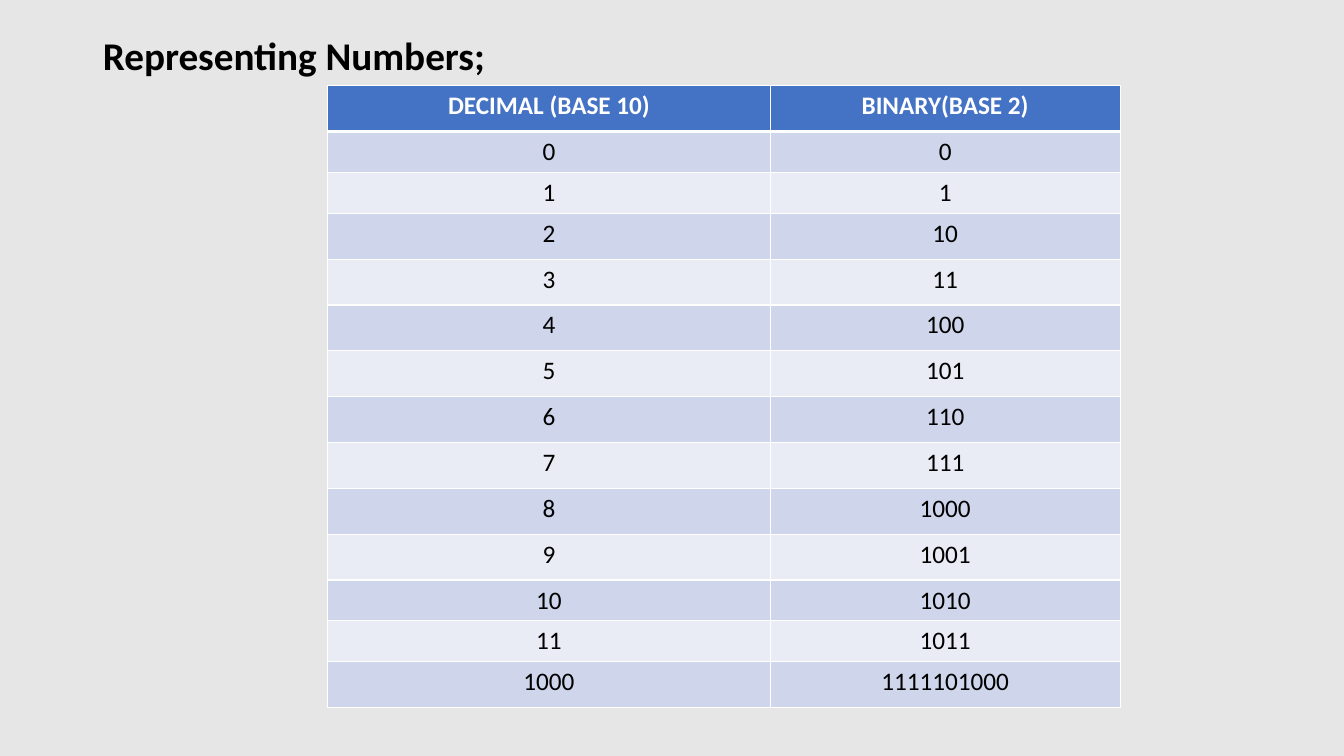
from lxml import etree
from pptx import Presentation
from pptx.dml.color import RGBColor
from pptx.enum.text import MSO_ANCHOR, MSO_AUTO_SIZE, PP_ALIGN
from pptx.oxml.ns import qn
from pptx.util import Inches, Pt

LEFT, CENTER = PP_ALIGN.LEFT, PP_ALIGN.CENTER
TOP, NO_FIT = MSO_ANCHOR.TOP, MSO_AUTO_SIZE.NONE

GRAY = RGBColor(0xE7, 0xE6, 0xE6)
BLACK = RGBColor(0, 0, 0)
WHITE = RGBColor(0xFF, 0xFF, 0xFF)
BLUE = RGBColor(0x44, 0x72, 0xC4)
BANDS = (RGBColor(0xE9, 0xEB, 0xF5), RGBColor(0xCF, 0xD5, 0xEA))

HEADS = ("DECIMAL (BASE 10)", "BINARY(BASE 2)")
NUMBERS = (*range(12), 1000)
SHORT = (1, 2, 11, 12)  # rows of lower height
LOW = 0.4


def write(frame, text, size=18, color=BLACK, bold=False, align=CENTER, line=1.0):
    para = frame.paragraphs[0]
    para.alignment = align
    para.line_spacing = line
    para.space_before = Pt(0)
    run = para.add_run()
    run.text = text
    font = run.font
    font.name = "Calibri"
    font.size = Pt(size)
    font.bold = bold
    font.color.rgb = color


def border(cell, side, width):
    props = cell._tc.get_or_add_tcPr()
    edge = etree.SubElement(props, qn("a:ln" + side), w=str(Pt(width)))
    fill = etree.SubElement(edge, qn("a:solidFill"))
    etree.SubElement(fill, qn("a:srgbClr"), val=str(WHITE))


def add_title(slide, left, top, width, height):
    title = slide.shapes.title
    title.left, title.top = Inches(left), Inches(top)
    title.width, title.height = Inches(width), Inches(height)
    frame = title.text_frame
    frame.word_wrap = True
    frame.auto_size = NO_FIT
    frame.vertical_anchor = TOP
    write(frame, "Representing Numbers;", size=28, bold=True, align=LEFT, line=0.9)


def add_grid(slide, left, top, width, height):
    rows = [HEADS] + [(str(n), f"{n:b}") for n in NUMBERS]
    count = len(rows)
    table = slide.shapes.add_table(count, 2, Inches(left), Inches(top),
                                   Inches(width), Inches(height)).table

    # Column widths and row heights
    first = 4.39
    table.columns[0].width = Inches(first)
    table.columns[1].width = Inches(width - first)
    tall = (height - LOW * len(SHORT)) / (count - len(SHORT))
    for i, row in enumerate(table.rows):
        row.height = Inches(LOW if i in SHORT else tall)

    # Header and banded cells
    for i, texts in enumerate(rows):
        head = i == 0
        for j, text in enumerate(texts):
            cell = table.cell(i, j)
            for side in "LRTB":
                thick = (head and side == "B") or (i == 1 and side == "T")
                border(cell, side, 3 if thick else 1)
            cell.fill.solid()
            cell.fill.fore_color.rgb = BLUE if head else BANDS[i % 2]
            write(cell.text_frame, text, color=WHITE if head else BLACK, bold=head)


def main():
    deck = Presentation()
    deck.slide_width, deck.slide_height = Inches(13.33), Inches(7.5)
    slide = deck.slides.add_slide(deck.slide_layouts[5])
    back = slide.background.fill
    back.solid()
    back.fore_color.rgb = GRAY
    add_title(slide, 0.92, 0.31, 11.5, 7.19)
    add_grid(slide, 3.25, 0.85, 7.86, 6.15)
    deck.save("out.pptx")


if __name__ == "__main__":
    main()
